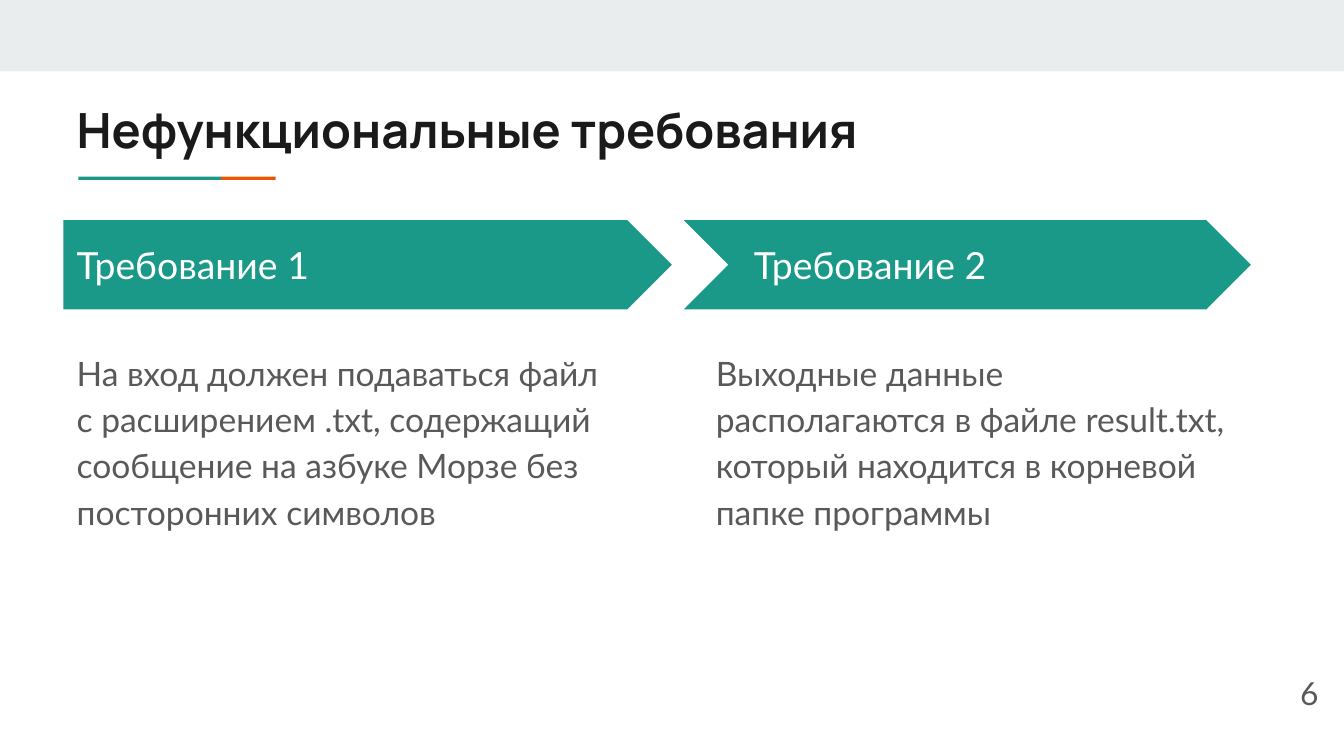
from pptx import Presentation
from pptx.dml.color import RGBColor
from pptx.enum.shapes import MSO_SHAPE
from pptx.enum.text import MSO_ANCHOR, PP_ALIGN
from pptx.util import Cm, Pt

TEAL, ORANGE, PALE = "1A9988", "EB5600", "E9EDEE"
DARK, GRAY, WHITE = "1A1A1A", "595959", "FFFFFF"

TITLE = {"size": Pt(26), "name": "Manrope", "bold": True}
HEADING = {"size": Pt(20), "name": "Lato"}
BODY = {"size": Pt(18), "name": "Lato"}
NUMBER = {"size": Pt(17), "name": "Lato"}
BODY_SPACING = {"line_spacing": 1.15, "space_after": Pt(8)}

BARS = [
    (0, 0, 25.4, 1.35, PALE),
    (1.48, 3.34, 2.7, 0.06, TEAL),
    (4.18, 3.34, 1.03, 0.06, ORANGE),
]
REQUIREMENTS = [
    {
        "arrow": (MSO_SHAPE.PENTAGON, 1.2, 11.5),
        "heading": (1.2, "Требование 1"),
        "body": (1.2, 10.72, "На вход должен подаваться файл с расширением .txt, "
                 "содержащий сообщение на азбуке Морзе без посторонних символов"),
    },
    {
        "arrow": (MSO_SHAPE.CHEVRON, 12.92, 10.72),
        "heading": (14, "Требование 2"),
        "body": (13.28, 10.36, "Выходные данные располагаются в файле result.txt, "
                 "который находится в корневой папке программы"),
    },
]


def color(value):
    """Return the colour for a hex string."""
    return RGBColor.from_string(value)


def apply_format(target, values):
    """Set each attribute named in a dict of format values."""
    for name, value in values.items():
        setattr(target, name, value)


def add_filled_shape(slide, kind, left, top, width, height, fill):
    """Add a preset shape with a plain fill and no line."""
    shape = slide.shapes.add_shape(kind, Cm(left), Cm(top), Cm(width), Cm(height))
    shape.shadow.inherit = False
    shape.fill.solid()
    shape.fill.fore_color.rgb = color(fill)
    shape.line.fill.background()


def add_text(slide, box, text, font, text_color, anchor=MSO_ANCHOR.TOP, layout=None):
    """Add a wrapped text box holding one paragraph."""
    frame = slide.shapes.add_textbox(*map(Cm, box)).text_frame
    margins = dict.fromkeys(
        ("margin_left", "margin_top", "margin_right", "margin_bottom"), Cm(0.25))
    apply_format(frame, {"word_wrap": True, "vertical_anchor": anchor, **margins})
    paragraph = frame.paragraphs[0]
    apply_format(paragraph, layout or {})
    run = paragraph.add_run()
    run.text = text
    apply_format(run.font, font)
    run.font.color.rgb = color(text_color)


def add_requirement(slide, requirement):
    """Add an arrow with its heading and the description below."""
    kind, left, width = requirement["arrow"]
    add_filled_shape(slide, kind, left, 4.16, width, 1.69, TEAL)
    left, heading = requirement["heading"]
    add_text(slide, (left, 4.57, 6.27, 0.86), heading, HEADING, WHITE, MSO_ANCHOR.MIDDLE)
    left, width, body = requirement["body"]
    add_text(slide, (left, 6.3, width, 4.9), body, BODY, GRAY, layout=BODY_SPACING)


def main():
    """Build the requirements slide and save it."""
    presentation = Presentation()
    apply_format(presentation, {"slide_width": Cm(25.4), "slide_height": Cm(14.29)})
    slide = presentation.slides.add_slide(presentation.slide_layouts[6])
    for *box, fill in BARS:
        add_filled_shape(slide, MSO_SHAPE.RECTANGLE, *box, fill)
    add_text(slide, (1.2, 1.65, 21.36, 1.5), "Нефункциональные требования", TITLE, DARK)
    for requirement in REQUIREMENTS:
        add_requirement(slide, requirement)
    add_text(slide, (23.65, 12.55, 1.52, 1.09), "6", NUMBER, GRAY,
             MSO_ANCHOR.MIDDLE, {"alignment": PP_ALIGN.RIGHT})
    presentation.save("out.pptx")


if __name__ == "__main__":
    main()
